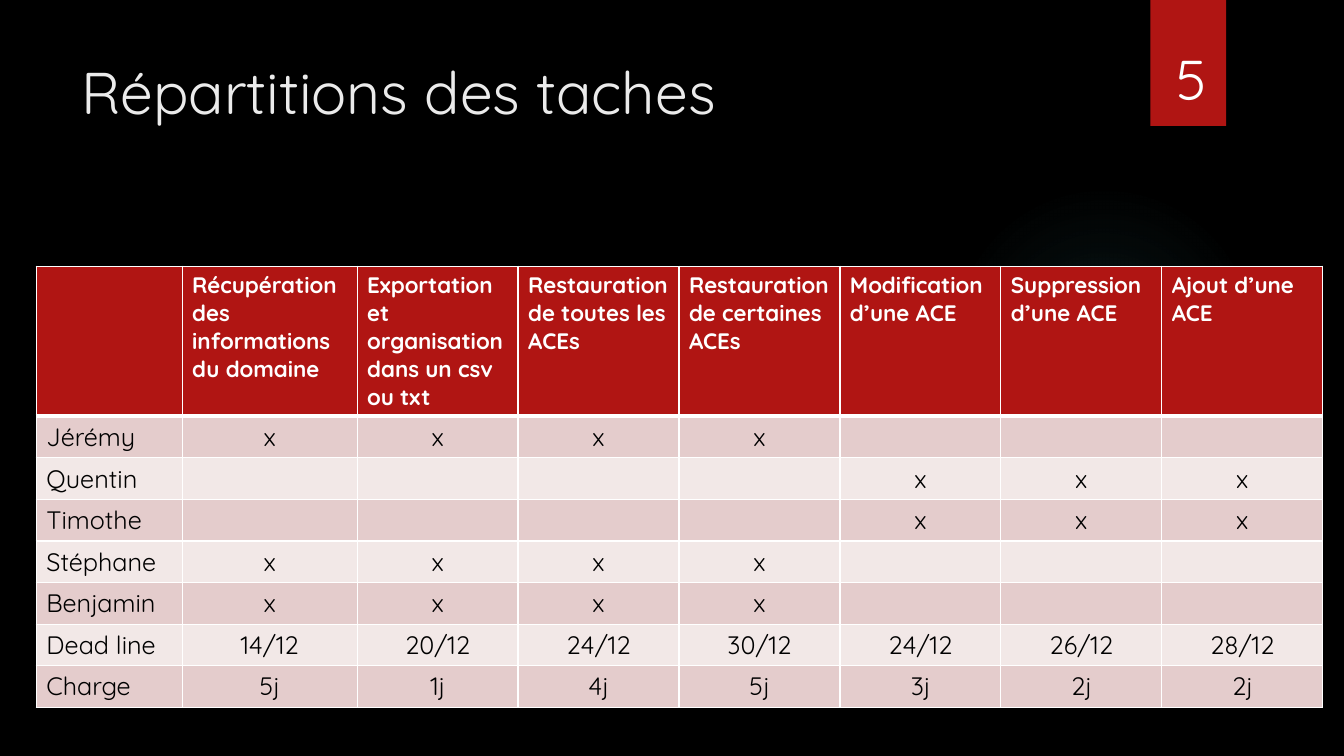
from lxml.etree import SubElement
from pptx import Presentation
from pptx.dml.color import RGBColor
from pptx.enum.shapes import MSO_SHAPE
from pptx.enum.text import PP_ALIGN
from pptx.oxml import parse_xml
from pptx.oxml.ns import nsdecls, qn
from pptx.util import Inches, Pt

BLACK = RGBColor(0x00, 0x00, 0x00)
WHITE = RGBColor(0xFF, 0xFF, 0xFF)
TITLE_GREY = RGBColor(0xEB, 0xEB, 0xEB)
RED = RGBColor(0xB0, 0x15, 0x13)
DARK_BAND = RGBColor(0xE4, 0xCC, 0xCC)
LIGHT_BAND = RGBColor(0xF2, 0xE8, 0xE7)
GLOW = RGBColor(0x50, 0xB9, 0xC1)
FONT = "Quicksand"

# The slide is a grid of 100 columns by 100 rows.
WIDTH, HEIGHT = Inches(13.33), Inches(7.5)
COLUMN, ROW = WIDTH / 100, HEIGHT / 100

TASKS = [
    "Récupération des informations du domaine",
    "Exportation et organisation dans un csv ou txt",
    "Restauration de toutes les ACEs",
    "Restauration de certaines ACEs",
    "Modification d’une ACE",
    "Suppression d’une ACE",
    "Ajout d’une ACE",
]
RESTORING = ["x"] * 4 + [""] * 3
EDITING = [""] * 4 + ["x"] * 3
LINES = [
    ["Jérémy", *RESTORING],
    ["Quentin", *EDITING],
    ["Timothe", *EDITING],
    ["Stéphane", *RESTORING],
    ["Benjamin", *RESTORING],
    ["Dead line", "14/12", "20/12", "24/12", "30/12", "24/12", "26/12", "28/12"],
    ["Charge", "5j", "1j", "4j", "5j", "3j", "2j", "2j"],
]


def place(left, top, width, height):
    """Turn a box in columns and rows into slide lengths."""
    return [round(left * COLUMN), round(top * ROW), round(width * COLUMN), round(height * ROW)]


def write(frame, text, size=18, color=BLACK, bold=False, align=PP_ALIGN.LEFT):
    """Write one formatted paragraph into a text frame."""
    frame.word_wrap = True
    paragraph = frame.paragraphs[0]
    paragraph.alignment = align
    run = paragraph.add_run()
    run.text = text
    run.font.name, run.font.size, run.font.bold = FONT, Pt(size), bold
    run.font.color.rgb = color


def add_plain_shape(slide, kind, box, color):
    """Add a filled shape without line or shadow."""
    shape = slide.shapes.add_shape(kind, *place(*box))
    shape.shadow.inherit = False
    shape.line.fill.background()
    shape.fill.solid()
    shape.fill.fore_color.rgb = color
    return shape


def add_glow(slide, box):
    """Add a faint round glow that fades out from its centre."""
    shape = add_plain_shape(slide, MSO_SHAPE.OVAL, box, GLOW)
    stops = "".join(
        f'<a:gs pos="{position * 1000}"><a:srgbClr val="{GLOW}">'
        f'<a:alpha val="{opacity * 1000}"/></a:srgbClr></a:gs>'
        for position, opacity in [(0, 7), (36, 6), (69, 0)]
    )
    gradient = parse_xml(
        f'<a:gradFill {nsdecls("a")}><a:gsLst>{stops}</a:gsLst><a:path path="circle">'
        '<a:fillToRect l="50000" t="50000" r="50000" b="50000"/></a:path></a:gradFill>'
    )
    properties = shape.element.spPr
    properties.replace(properties.find(qn("a:solidFill")), gradient)


def add_text(slide, box, text, **text_format):
    """Add a text box in the given box."""
    write(slide.shapes.add_textbox(*place(*box)).text_frame, text, **text_format)


def add_page_badge(slide, box, number):
    """Add the red ribbon with the page number in it."""
    left, top, width, height = box
    add_plain_shape(slide, MSO_SHAPE.RECTANGLE, box, RED)
    number_box = (left + 0.21 * width, top + 0.31 * height, 0.84 * width, 0.62 * height)
    add_text(slide, number_box, number, size=40, color=WHITE)


def style_cell(cell, color, bottom_width):
    """Fill a cell and give it white borders."""
    properties = cell._tc.get_or_add_tcPr()
    for side, width in [("L", 1), ("R", 1), ("T", 1), ("B", bottom_width)]:
        border = SubElement(properties, qn(f"a:ln{side}"), w=str(Pt(width)))
        SubElement(SubElement(border, qn("a:solidFill")), qn("a:srgbClr"), val=str(WHITE))
    cell.fill.solid()
    cell.fill.fore_color.rgb = color


def add_task_table(slide, box):
    """Add the table of people and tasks, with a tall header row."""
    rows = [["", *TASKS], *LINES]
    width, height = box[2:]
    frame = slide.shapes.add_table(len(rows), len(rows[0]), *place(*box))
    table = frame.table
    shares = [1.45, 1.74] + [1.6] * 6
    for column, share in zip(table.columns, shares):
        column.width = round(share / sum(shares) * width * COLUMN)
    header_share = 0.34
    line_share = (1 - header_share) / len(LINES)
    for index, values in enumerate(rows):
        header = index == 0
        table.rows[index].height = round((header_share if header else line_share) * height * ROW)
        band = RED if header else DARK_BAND if index % 2 else LIGHT_BAND
        for position, value in enumerate(values):
            cell = table.cell(index, position)
            style_cell(cell, band, 3 if header else 1)
            if value and header:
                write(cell.text_frame, value, size=16, color=WHITE, bold=True)
            elif value:
                write(cell.text_frame, value, align=PP_ALIGN.CENTER if position else PP_ALIGN.LEFT)


def build_task_slide(presentation):
    """Build the slide that shares out the tasks."""
    slide = presentation.slides.add_slide(presentation.slide_layouts[6])
    slide.background.fill.solid()
    slide.background.fill.fore_color.rgb = BLACK
    add_glow(slide, (70.6, 24.4, 23.1, 41.07))
    add_page_badge(slide, (85.6, 0, 5.63, 16.67), "5")
    add_text(slide, (5.33, 6.67, 77.2, 20.4), "Répartitions des taches", size=42, color=TITLE_GREY)
    add_task_table(slide, (2.7, 35.2, 95.72, 58.4))


presentation = Presentation()
presentation.slide_width, presentation.slide_height = WIDTH, HEIGHT
build_task_slide(presentation)
presentation.save("out.pptx")
